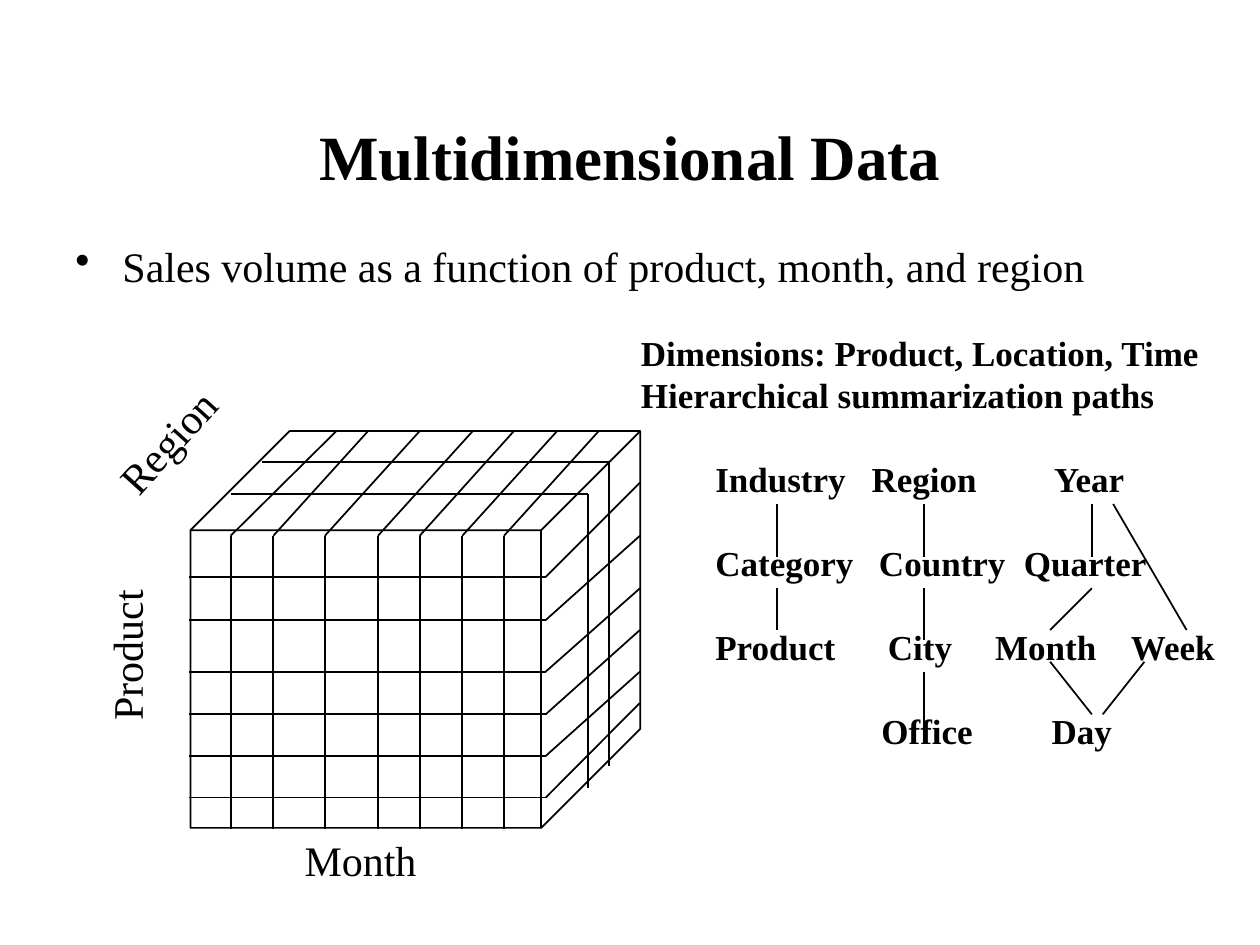
from dataclasses import dataclass

from lxml.etree import SubElement
from pptx import Presentation
from pptx.dml.color import RGBColor
from pptx.enum.shapes import MSO_CONNECTOR, MSO_SHAPE
from pptx.enum.text import MSO_ANCHOR, MSO_AUTO_SIZE, PP_ALIGN
from pptx.oxml.ns import qn
from pptx.util import Cm, Pt


@dataclass(frozen=True)
class Theme:
    font: str = "Times New Roman"
    ink: RGBColor = RGBColor(0, 0, 0)
    title: Pt = Pt(36)
    body: Pt = Pt(24)
    detail: Pt = Pt(20)
    line: Pt = Pt(1)


THEME = Theme()

# Cube grid, in cm
FRONT_LEFT, FRONT_RIGHT, SIDE_RIGHT = 3.81, 11, 12.9
TOP_BACK, TOP_FRONT, FRONT_BOTTOM = 8.69, 10.8, 16.71
# Each row: y on the front face, y at the back of the side face
ROWS = [(11.63, 9.73), (12.5, 10.8), (13.54, 11.86),
        (14.4, 12.7), (15.24, 13.54), (16.08, 14.17)]
# Each column: x on the front face, x at the back of the top face
COLUMNS = [(4.65, 6.78), (5.51, 7.42), (6.55, 8.46), (7.62, 9.53),
           (8.46, 10.36), (9.32, 11.23), (10.16, 12.07)]
# Each slice: left x, top y, right x, bottom y
SLICES = [(5.28, 9.32, 12.27, 15.44), (4.65, 9.96, 11.86, 15.88)]

# Each level: its labels and the tab stops, in cm, of all but the first
LEVELS = [
    ("Industry\tRegion\tYear", (3.15, 6.83)),
    ("Category\tCountry\tQuarter", (3.3, 6.22)),
    ("Product\tCity\tMonth\tWeek", (3.48, 5.64, 8.38)),
    ("\tOffice\tDay", (3.35, 6.78)),
]
HIERARCHY_LINKS = [
    (15.66, 10.16, 15.66, 11.23),  # Industry - Category
    (15.66, 11.86, 15.66, 12.7),   # Category - Product
    (18.63, 10.16, 18.63, 11.23),  # Region - Country
    (18.63, 11.86, 18.63, 12.9),   # Country - City
    (18.63, 13.54, 18.63, 14.6),   # City - Office
    (22.01, 10.16, 22.01, 11.23),  # Year - Quarter
    (22.01, 11.86, 21.17, 12.7),   # Quarter - Month
    (22.44, 10.16, 23.92, 12.7),   # Year - Week
    (21.17, 13.34, 22.01, 14.4),   # Month - Day
    (23.07, 13.34, 22.23, 14.4),   # Week - Day
]


def style_paragraph(paragraph, size, bold=False):
    font = paragraph.font
    font.name, font.size, font.bold = THEME.font, size, bold
    font.color.rgb = THEME.ink


def add_text(slide, lines, left, top, width, height, size,
             bold=False, rotation=0, wrap=False):
    shape = slide.shapes.add_textbox(Cm(left), Cm(top), Cm(width), Cm(height))
    shape.rotation = rotation
    frame = shape.text_frame
    frame.word_wrap = wrap
    frame.text = "\n".join(lines)
    for paragraph in frame.paragraphs:
        style_paragraph(paragraph, size, bold)
    return frame


def add_line(slide, start_x, start_y, end_x, end_y):
    line = slide.shapes.add_connector(
        MSO_CONNECTOR.STRAIGHT, Cm(start_x), Cm(start_y), Cm(end_x), Cm(end_y))
    line.line.color.rgb = THEME.ink
    line.line.width = THEME.line
    SubElement(line._element.spPr, qn("a:effectLst"))


def add_title(slide, text):
    title = slide.shapes.title
    title.left, title.top, title.width, title.height = (
        Cm(1.27), Cm(0.85), Cm(22.86), Cm(3.18))
    frame = title.text_frame
    frame.text = text
    frame.auto_size = MSO_AUTO_SIZE.NONE
    frame.vertical_anchor = MSO_ANCHOR.BOTTOM
    paragraph = frame.paragraphs[0]
    paragraph.alignment = PP_ALIGN.CENTER
    style_paragraph(paragraph, THEME.title, bold=True)


def add_bullet_text(slide, text):
    frame = add_text(slide, [], 1.27, 4.72, 22.63, 11.43, THEME.body, wrap=True)
    paragraph = frame.paragraphs[0]
    paragraph.text = text
    properties = paragraph._p.get_or_add_pPr()
    properties.set("marL", str(Cm(0.95)))
    properties.set("indent", str(-Cm(0.95)))
    bullet = properties.makeelement(qn("a:buChar"), {"char": "•"})
    properties.insert(0, bullet)


def add_cube(slide):
    cube = slide.shapes.add_shape(
        MSO_SHAPE.CUBE, Cm(3.84), Cm(TOP_BACK), Cm(9.07), Cm(8))
    cube.adjustments[0] = 0.25
    cube.shadow.inherit = False
    cube.fill.background()
    cube.line.color.rgb = THEME.ink
    cube.line.width = THEME.line

    for front_y, back_y in ROWS:
        add_line(slide, FRONT_LEFT, front_y, FRONT_RIGHT, front_y)
        add_line(slide, FRONT_RIGHT, front_y, SIDE_RIGHT, back_y)
    for front_x, back_x in COLUMNS:
        add_line(slide, front_x, TOP_FRONT, front_x, FRONT_BOTTOM)
        add_line(slide, front_x, TOP_FRONT, back_x, TOP_BACK)
    for left, top, right, bottom in SLICES:
        add_line(slide, left, top, right, top)
        add_line(slide, right, top, right, bottom)

    # Axis names
    add_text(slide, ["Product"], 0.97, 12.57, 3.15, 1.27, THEME.body, rotation=270)
    add_text(slide, ["Region"], 1.9, 8.26, 2.95, 1.27, THEME.body, rotation=312)
    add_text(slide, ["Month"], 5.89, 16.69, 2.77, 1.27, THEME.body)


def add_hierarchy(slide):
    frame = add_text(slide, [labels for labels, _ in LEVELS],
                     14.17, 9.09, 10.9, 6.2, THEME.detail, bold=True, wrap=True)
    for index, (paragraph, (_, stops)) in enumerate(zip(frame.paragraphs, LEVELS)):
        if index:
            paragraph.space_before = Pt(24)
        properties = paragraph._p.get_or_add_pPr()
        tab_list = properties.makeelement(qn("a:tabLst"), {})
        for stop in stops:
            SubElement(tab_list, qn("a:tab"), pos=str(Cm(stop)), algn="l")
        properties.find(qn("a:defRPr")).addprevious(tab_list)
    for link in HIERARCHY_LINKS:
        add_line(slide, *link)


def main():
    presentation = Presentation()
    presentation.slide_width, presentation.slide_height = Cm(25.4), Cm(19.05)
    slide = presentation.slides.add_slide(presentation.slide_layouts[5])

    # Heading and statement
    add_title(slide, "Multidimensional Data")
    add_bullet_text(slide, "Sales volume as a function of product, month, and region")

    # Data cube
    add_cube(slide)

    # Dimensions and their hierarchies
    add_text(slide,
             ["Dimensions: Product, Location, Time", "Hierarchical summarization paths"],
             12.67, 6.55, 11.81, 1.96, THEME.detail, bold=True)
    add_hierarchy(slide)

    presentation.save("out.pptx")


if __name__ == "__main__":
    main()
